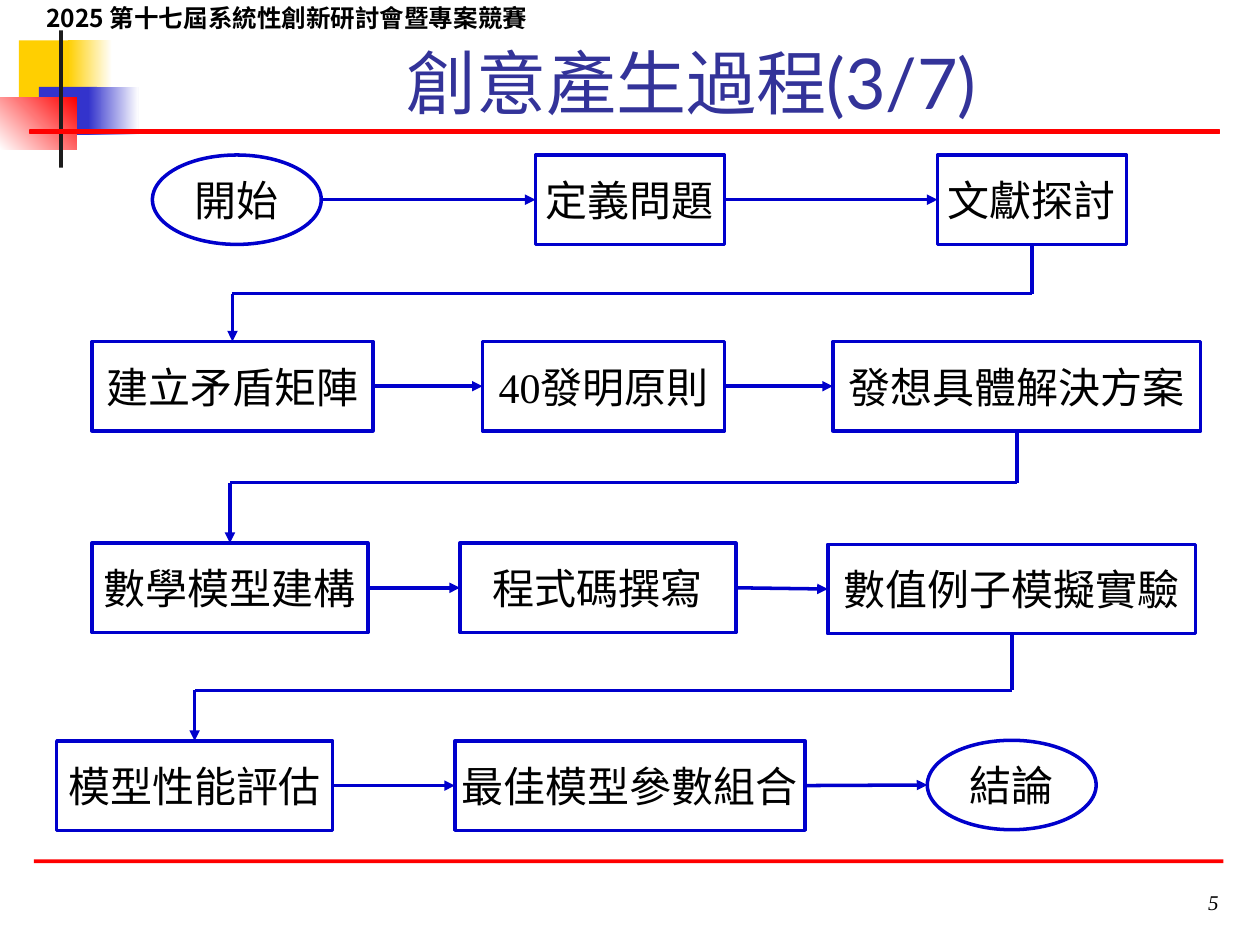
from dataclasses import dataclass
from itertools import pairwise

from lxml import etree
from pptx import Presentation
from pptx import util as u
from pptx.dml.color import RGBColor
from pptx.enum import shapes, text
from pptx.oxml.ns import qn

COLUMNS, ROWS = 100, 75
CELL = u.Inches(0.1)
COLORS = {
    "yellow": "FFCF01", "indigo": "3333CC", "red": "FF0000", "white": "FFFFFF",
    "charcoal": "1C1C1C", "title": "333399", "flow": "0000CC", "text": "000000",
}
SANS, TRADITIONAL, SERIF = "Noto Sans CJK SC", "Noto Sans CJK TC", "Times New Roman"
TOP, LEFT, BOTTOM, RIGHT = range(4)


@dataclass(frozen=True)
class Block:
    left: float
    top: float
    width: float
    height: float
    start: str
    end: str = ""
    angle: float = 0
    outlined: bool = False


@dataclass(frozen=True)
class Step:
    left: float
    top: float
    width: float
    label: str
    number: str = ""
    oval: bool = False


STEP_HEIGHT = 7.1
DECORATIONS = [
    Block(1.5, 3.2, 4.8, 4.7, "yellow"),
    Block(5.4, 3.2, 3.5, 4.7, "yellow", "white"),
    Block(3.1, 6.9, 4.6, 3.8, "indigo"),
    Block(7, 6.9, 4, 3.8, "indigo", "white"),
    Block(0, 7.7, 6.1, 4.2, "white", "red", 45),
    Block(4.7, 2.4, 0.3, 10.9, "charcoal"),
    Block(2.4, 10.3, 94.4, 0.3, "red", outlined=True),
    Block(2.7, 68.2, 94.4, 0.3, "red"),
]
FLOW = [
    [Step(12.1, 12.3, 13.4, "開始", oval=True), Step(42.5, 12.3, 15, "定義問題"),
     Step(74.4, 12.3, 15, "文獻探討")],
    [Step(7.3, 27.1, 22.3, "建立矛盾矩陣"), Step(38.3, 27.1, 19.2, "發明原則", "40"),
     Step(66.1, 27.1, 29.2, "發想具體解決方案")],
    [Step(7.3, 43.1, 21.9, "數學模型建構"), Step(36.5, 43.1, 21.9, "程式碼撰寫"),
     Step(65.7, 43.2, 29.2, "數值例子模擬實驗")],
    [Step(4.5, 58.8, 21.9, "模型性能評估"), Step(36.1, 58.8, 27.8, "最佳模型參數組合"),
     Step(73.6, 58.75, 13.4, "結論", oval=True)],
]
TURN_ROWS = [23.3, 38.3, 54.8]


def cells(*counts: float) -> list[int]:
    return [round(count * CELL) for count in counts]


def color(name: str) -> RGBColor:
    return RGBColor.from_string(COLORS[name])


def add_run(paragraph, words: str, size: float, font: str, shade="text",
            bold=False, italic=False, east_asian: str = "") -> None:
    run = paragraph.add_run()
    run.text = words
    run.font.size, run.font.name = u.Pt(size), font
    run.font.bold, run.font.italic = bold, italic
    run.font.color.rgb = color(shade)
    latin = run.font._element.find(qn("a:latin"))
    asian = etree.Element(qn("a:ea"), typeface=east_asian or font)
    latin.addnext(asian)


def add_block(slide, block: Block) -> None:
    shape = slide.shapes.add_shape(
        shapes.MSO_SHAPE.RECTANGLE, *cells(block.left, block.top, block.width, block.height))
    shape.shadow.inherit = False
    if block.end:
        shape.fill.gradient()
        shape.fill.gradient_angle = block.angle
        for stop, name in zip(shape.fill.gradient_stops, (block.start, block.end)):
            stop.color.rgb = color(name)
    else:
        shape.fill.solid()
        shape.fill.fore_color.rgb = color(block.start)
    if block.outlined:
        shape.line.color.rgb = color(block.start)
        shape.line.width = u.Pt(1)
    else:
        shape.line.fill.background()


def add_step(slide, step: Step):
    kind = shapes.MSO_SHAPE.OVAL if step.oval else shapes.MSO_SHAPE.RECTANGLE
    shape = slide.shapes.add_shape(kind, *cells(step.left, step.top, step.width, STEP_HEIGHT))
    shape.shadow.inherit = False
    shape.fill.background()
    shape.line.color.rgb = color("flow")
    shape.line.width = u.Pt(2)
    frame = shape.text_frame
    frame.word_wrap = False
    frame.vertical_anchor = text.MSO_ANCHOR.MIDDLE
    paragraph = frame.paragraphs[0]
    paragraph.alignment = text.PP_ALIGN.CENTER
    if step.number:
        add_run(paragraph, step.number, 24, SERIF)
    add_run(paragraph, step.label, 24, SANS)
    return shape


def side(shape, site: int) -> tuple[int, int]:
    middle_x, middle_y = shape.left + shape.width // 2, shape.top + shape.height // 2
    return {TOP: (middle_x, shape.top), LEFT: (shape.left, middle_y),
            BOTTOM: (middle_x, shape.top + shape.height),
            RIGHT: (shape.left + shape.width, middle_y)}[site]


def add_line(slide, begin: tuple[int, int], end: tuple[int, int], arrow: bool = False):
    line = slide.shapes.add_connector(shapes.MSO_CONNECTOR.STRAIGHT, *begin, *end)
    line.line.color.rgb = color("flow")
    line.line.width = u.Pt(2)
    if arrow:
        etree.SubElement(line.line._get_or_add_ln(), qn("a:tailEnd"), type="triangle")
    etree.SubElement(line._element.spPr, qn("a:effectLst"))
    return line


def is_rectangle(shape) -> bool:
    return shape.auto_shape_type == shapes.MSO_SHAPE.RECTANGLE


def add_step_arrow(slide, source, target) -> None:
    line = add_line(slide, side(source, RIGHT), side(target, LEFT), arrow=True)
    if is_rectangle(source):
        line.begin_connect(source, RIGHT)
    if is_rectangle(target):
        line.end_connect(target, LEFT)


def add_row_turn(slide, source, target, turn_row: float) -> None:
    turn = cells(turn_row)[0]
    start, finish = side(source, BOTTOM), side(target, TOP)
    add_line(slide, start, (start[0], turn)).begin_connect(source, BOTTOM)
    add_line(slide, (start[0], turn), (finish[0], turn))
    add_line(slide, (finish[0], turn), finish, arrow=True).end_connect(target, TOP)


def add_label(slide, bounds: tuple, words: str, size: float, font: str,
              wrap: bool, **style) -> None:
    frame = slide.shapes.add_textbox(*cells(*bounds)).text_frame
    frame.word_wrap = wrap
    frame.vertical_anchor = text.MSO_ANCHOR.MIDDLE
    add_run(frame.paragraphs[0], words, size, font, **style)


def add_title(slide) -> None:
    title = slide.shapes.title
    title.left, title.top, title.width, title.height = cells(9, 2.8, 91.8, 7.5)
    frame = title.text_frame
    frame.auto_size = text.MSO_AUTO_SIZE.NONE
    frame.vertical_anchor = text.MSO_ANCHOR.BOTTOM
    paragraph = frame.paragraphs[0]
    paragraph.alignment = text.PP_ALIGN.CENTER
    add_run(paragraph, "創意產生過程(3/7)", 40, "Lato", "title", east_asian=SANS)


def main() -> None:
    presentation = Presentation()
    presentation.slide_width, presentation.slide_height = cells(COLUMNS, ROWS)
    slide = presentation.slides.add_slide(presentation.slide_layouts[5])
    for block in DECORATIONS:
        add_block(slide, block)
    add_label(slide, (94.9, 70.1, 4, 3), "5", 12, SERIF, False, italic=True)
    add_label(slide, (2.7, -0.3, 53.6, 3.4), "2025 第十七屆系統性創新研討會暨專案競賽",
              14, TRADITIONAL, True, bold=True)
    add_title(slide)
    flow = [[add_step(slide, step) for step in row] for row in FLOW]
    for row in flow:
        for source, target in pairwise(row):
            add_step_arrow(slide, source, target)
    for (upper, lower), turn_row in zip(pairwise(flow), TURN_ROWS):
        add_row_turn(slide, upper[-1], lower[0], turn_row)
    presentation.save("out.pptx")


if __name__ == "__main__":
    main()
